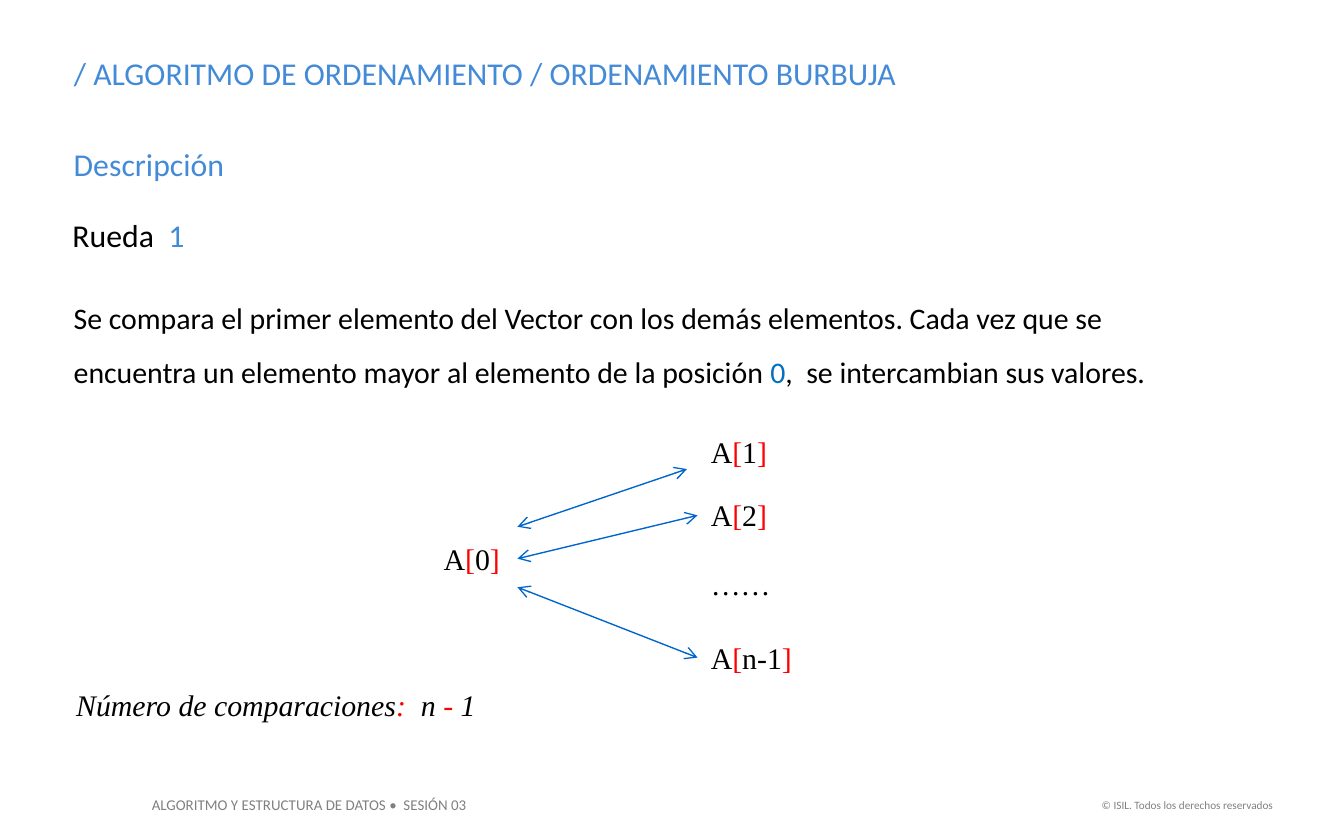
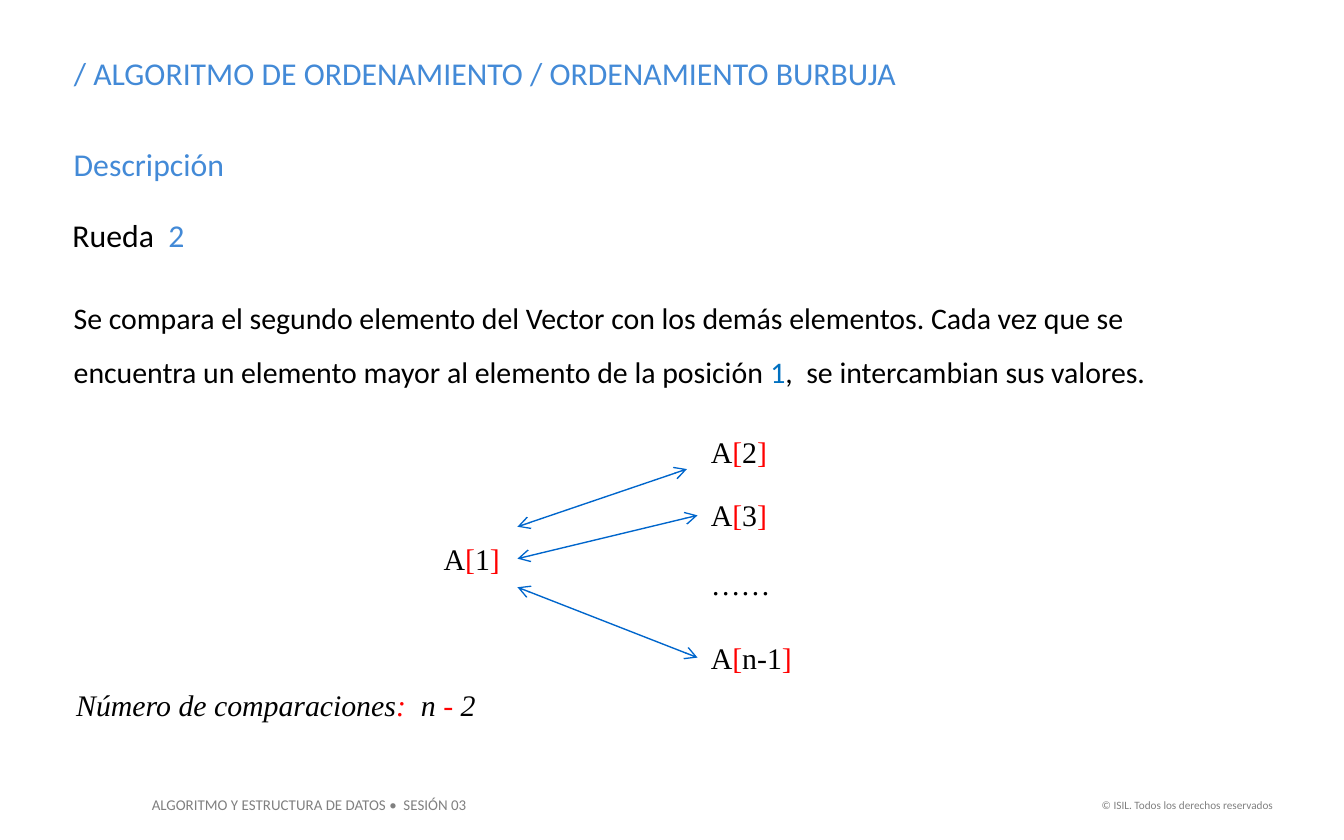
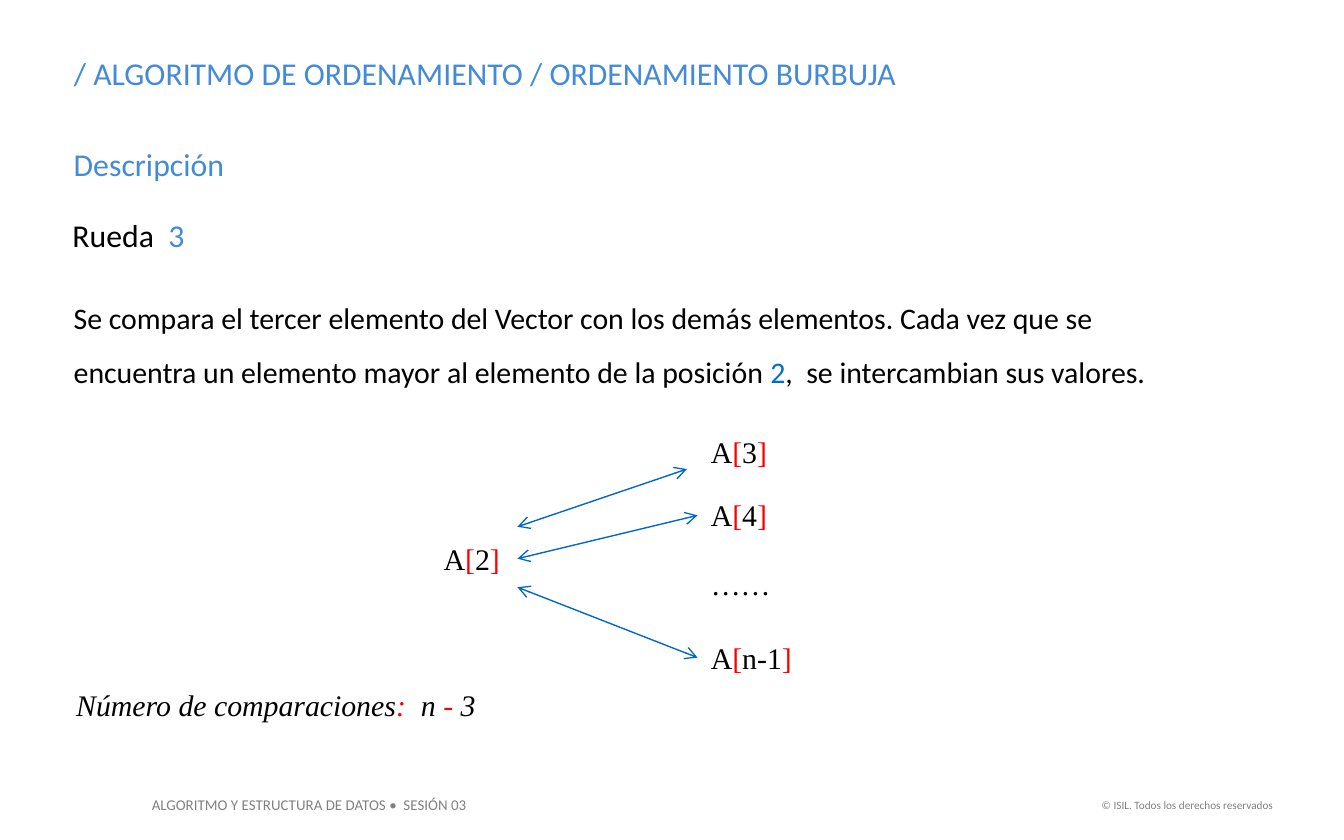
from dataclasses import dataclass

from lxml.etree import SubElement
from pptx import Presentation
from pptx.dml.color import RGBColor as RGB
from pptx.enum.shapes import MSO_CONNECTOR as Connector
from pptx.enum.text import MSO_ANCHOR as Anchor, MSO_AUTO_SIZE as AutoSize, PP_ALIGN as Align
from pptx.oxml.ns import qn
from pptx.util import Pt


@dataclass(frozen=True)
class Theme:
    sans: str = "Calibri"
    serif: str = "Times New Roman"
    black: str = "000000"
    heading: str = "438AD7"
    accent: str = "0070C0"
    arrow: str = "0066CC"
    symbol: str = "FF0000"
    footer: str = "808080"
    heading_size: float = 17
    body_size: float = 16
    course_size: float = 8
    rights_size: float = 6


THEME = Theme()
TITLE = "/ ALGORITMO DE ORDENAMIENTO / ORDENAMIENTO BURBUJA"
ORDINALS = ("primer", "segundo", "tercer")
TARGET_LEFT = 373.7


# Text
def write(box, *spans, font=THEME.sans, size=THEME.body_size, color=THEME.black,
          align=Align.LEFT, spacing=1.0, italic=False, wrap=True):
    """Fill a box with one paragraph; a span is a string or a (string, colour) pair."""
    frame = box.text_frame
    frame.word_wrap = wrap
    frame.auto_size = AutoSize.SHAPE_TO_FIT_TEXT
    frame.vertical_anchor = Anchor.TOP
    para = frame.paragraphs[0]
    para.alignment = align
    para.line_spacing = spacing
    for span in spans:
        text, span_color = (span, color) if isinstance(span, str) else span
        run = para.add_run()
        run.text = text
        run.font.name = font
        run.font.size = Pt(size)
        run.font.italic = italic
        run.font.color.rgb = RGB.from_string(span_color)


def add_text(page, left, top, width, height, *spans, **text_format):
    box = page.shapes.add_textbox(Pt(left), Pt(top), Pt(width), Pt(height))
    write(box, *spans, **text_format)
    return box


def element_spans(index):
    """Array element with its brackets in the symbol colour."""
    return "A", ("[", THEME.symbol), str(index), ("]", THEME.symbol)


# Arrows
def add_double_arrow(page, start, end):
    arrow = page.shapes.add_connector(Connector.STRAIGHT, *map(Pt, start + end))
    arrow.line.color.rgb = RGB.from_string(THEME.arrow)
    arrow.line.width = Pt(0.75)
    line = arrow.line._get_or_add_ln()
    for tag in ("a:headEnd", "a:tailEnd"):
        SubElement(line, qn(tag), type="arrow")
    SubElement(arrow._element.spPr, qn("a:effectLst"))
    return arrow


# Shared parts
def place_title(layout):
    title = layout.placeholders[0]
    title.left, title.top, title.width, title.height = map(Pt, (32.4, 25.2, 510.5, 28))


def add_footers(page):
    add_text(page, 74.2, 422.6, 185.8, 17.3, "ALGORITMO Y ESTRUCTURA DE DATOS •  SESIÓN 03",
             size=THEME.course_size, color=THEME.footer, wrap=False)
    add_text(page, 581, 424, 108, 14.4, "© ISIL. Todos los derechos reservados",
             size=THEME.rights_size, color=THEME.footer, align=Align.RIGHT, wrap=False)


# Comparison of one element with those after it
def add_comparisons(page, position):
    source = add_text(page, 228.2, 286, 49, 26.6, *element_spans(position),
                      font=THEME.serif, align=Align.CENTER)
    rows = ((229, element_spans(position + 1)), (262.8, element_spans(position + 2)),
            (299.5, ("……",)), (339, element_spans("n-1")))
    _, second, _, last = [
        add_text(page, TARGET_LEFT, top, 73.5, 26.6, *spans, font=THEME.serif)
        for top, spans in rows]

    add_double_arrow(page, (277.2, 282.2), (368, 251.3))
    middle_arrow = add_double_arrow(page, (277.2, 299.3), (TARGET_LEFT, 276.1))
    middle_arrow.begin_connect(source, 3)
    middle_arrow.end_connect(second, 1)
    lower_arrow = add_double_arrow(page, (277.2, 314.6), (TARGET_LEFT, 352.3))
    lower_arrow.end_connect(last, 1)


def add_round(deck, layout, position, ordinal):
    page = deck.slides.add_slide(layout)
    number = position + 1
    add_footers(page)
    write(page.shapes.title, TITLE, size=THEME.heading_size, color=THEME.heading)
    add_text(page, 32.4, 74.2, 106, 28, "Descripción",
             size=THEME.heading_size, color=THEME.heading)
    add_text(page, 31.7, 112.3, 99.4, 28, "Rueda", (f"  {number}", THEME.heading),
             size=THEME.heading_size)
    add_text(page, 32.4, 147.6, 610.5, 65.5,
             f"Se compara el {ordinal} elemento del Vector con los demás elementos. "
             "Cada vez que se encuentra un elemento mayor al elemento de la posición ",
             (str(position), THEME.accent), ",  se intercambian sus valores.", spacing=1.5)
    add_comparisons(page, position)
    add_text(page, 33.8, 360.7, 244, 30, "Número de comparaciones", (":", THEME.symbol),
             "  n ", ("-", THEME.symbol), f" {number}",
             font=THEME.serif, italic=True, spacing=1.2)


def main():
    deck = Presentation()
    deck.slide_width, deck.slide_height = Pt(720), Pt(450)
    layout = deck.slide_layouts.get_by_name("Title Only")
    place_title(layout)
    for position, ordinal in enumerate(ORDINALS):
        add_round(deck, layout, position, ordinal)
    deck.save("out.pptx")


if __name__ == "__main__":
    main()
